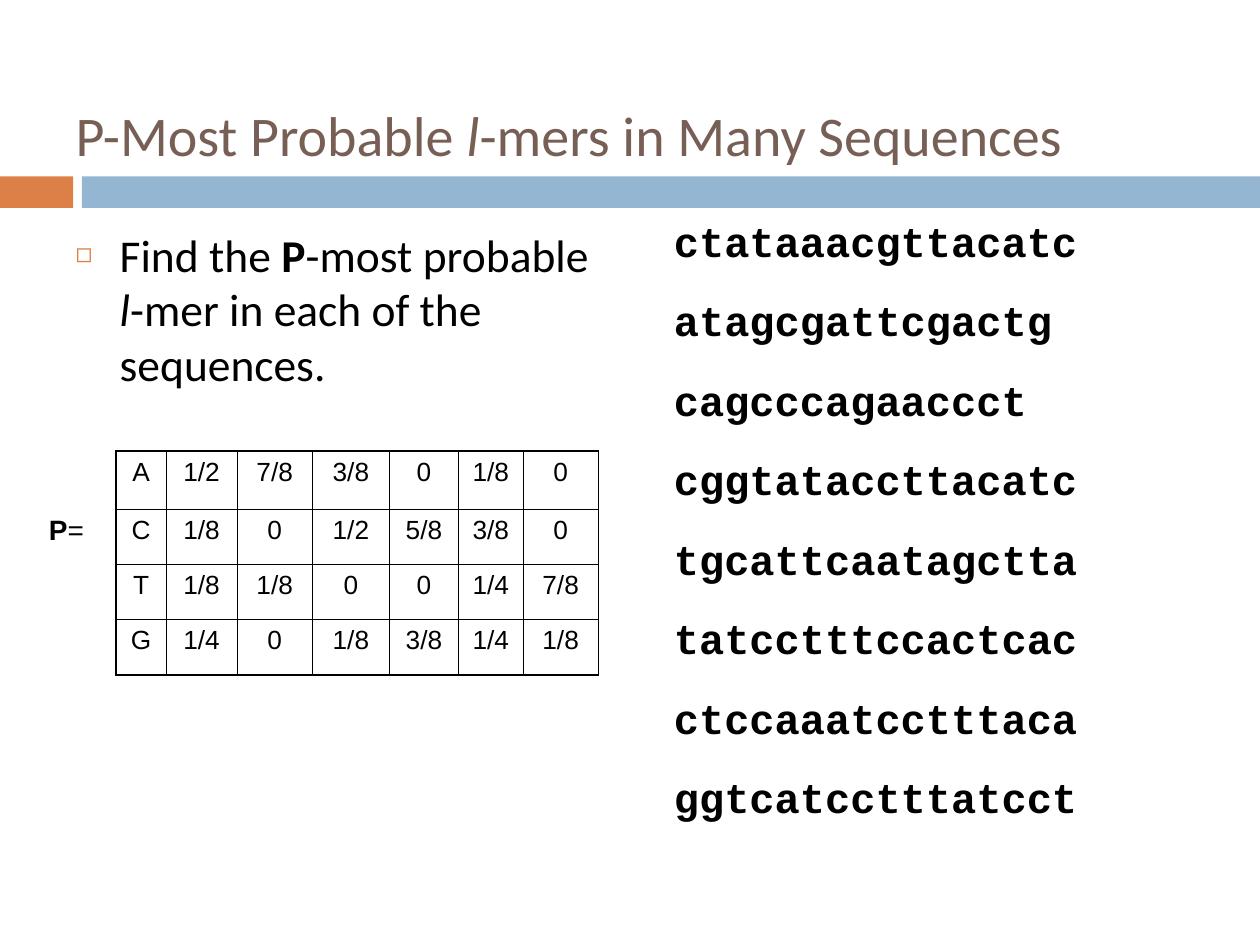
from dataclasses import dataclass

import lxml.etree
import pptx
import pptx.dml.color
import pptx.enum.shapes
import pptx.enum.text
import pptx.oxml.ns
import pptx.util

Inches = pptx.util.Inches
Pt = pptx.util.Pt


@dataclass(frozen=True)
class Theme:
    heading_font: str = "Calibri"
    table_font: str = "Arial"
    sequence_font: str = "Courier New"
    title_color: str = "775F55"
    ink: str = "000000"
    accent: str = "DD8047"
    band: str = "94B6D2"
    title_size: float = 32
    body_size: float = 26
    sequence_size: float = 24
    label_size: float = 16
    cell_size: float = 15
    sequence_gap: float = 16.6
    outer_line: float = 1.08
    inner_line: float = 0.45


THEME = Theme()

SEQUENCES = [
    "ctataaacgttacatc", "atagcgattcgactg", "cagcccagaaccct", "cggtataccttacatc",
    "tgcattcaatagctta", "tatcctttccactcac", "ctccaaatcctttaca", "ggtcatcctttatcct",
]
PROFILE = [
    ["A", "1/2", "7/8", "3/8", "0", "1/8", "0"],
    ["C", "1/8", "0", "1/2", "5/8", "3/8", "0"],
    ["T", "1/8", "1/8", "0", "0", "1/4", "7/8"],
    ["G", "1/4", "0", "1/8", "3/8", "1/4", "1/8"],
]
COLUMN_WIDTHS = [0.4, 0.56, 0.6, 0.61, 0.55, 0.51, 0.6]
ROW_HEIGHTS = [0.46, 0.44, 0.44, 0.44]


def rgb(value):
    return pptx.dml.color.RGBColor.from_string(value)


def add_span(para, text, font, size, color, bold=False, italic=False):
    span = para.add_run()
    span.text = text
    span.font.name = font
    span.font.size = Pt(size)
    span.font.color.rgb = rgb(color)
    span.font.bold = bold
    span.font.italic = italic


def place(shape, box):
    shape.left, shape.top, shape.width, shape.height = map(Inches, box)


def add_bar(page, box, color):
    bar = page.shapes.add_shape(
        pptx.enum.shapes.MSO_SHAPE.RECTANGLE, *map(Inches, box))
    bar.shadow.inherit = False
    bar.fill.solid()
    bar.fill.fore_color.rgb = rgb(color)
    bar.line.fill.background()


def add_divider(page, box):
    """Short accent bar, a gap, then the long band."""
    left, top, width, height = box
    accent_width, band_start = 0.58, 0.65
    add_bar(page, (left, top, accent_width, height), THEME.accent)
    add_bar(page, (left + band_start, top, width - band_start, height), THEME.band)


def fill_title(page, box):
    title = page.shapes.title
    place(title, box)
    frame = title.text_frame
    frame.auto_size = pptx.enum.text.MSO_AUTO_SIZE.NONE
    frame.vertical_anchor = pptx.enum.text.MSO_ANCHOR.MIDDLE
    para = frame.paragraphs[0]
    para.alignment = pptx.enum.text.PP_ALIGN.LEFT
    for text, italic in [("P-Most Probable ", False), ("l", True),
                         ("-mers in Many Sequences", False)]:
        add_span(para, text, THEME.heading_font, THEME.title_size,
                 THEME.title_color, italic=italic)


def add_bullet(para):
    properties = para._p.get_or_add_pPr()
    properties.set("marL", str(Inches(0.35)))
    properties.set("indent", str(Inches(-0.35)))
    qn = pptx.oxml.ns.qn
    color = lxml.etree.SubElement(properties, qn("a:buClr"))
    lxml.etree.SubElement(color, qn("a:srgbClr"), val=THEME.accent)
    lxml.etree.SubElement(properties, qn("a:buSzPct"), val="60000")
    lxml.etree.SubElement(properties, qn("a:buChar"), char="◻")


def fill_body(page, box):
    body = page.placeholders[1]
    place(body, box)
    frame = body.text_frame
    frame.auto_size = pptx.enum.text.MSO_AUTO_SIZE.NONE
    para = frame.paragraphs[0]
    add_bullet(para)
    para.space_before = Pt(0)
    for text, bold, italic in [("Find the ", False, False), ("P", True, False),
                               ("-most probable ", False, False), ("l", False, True),
                               ("-mer in each of the sequences.", False, False)]:
        add_span(para, text, THEME.heading_font, THEME.body_size, THEME.ink,
                 bold, italic)


def add_sequences(page, box):
    frame = page.shapes.add_textbox(*map(Inches, box)).text_frame
    frame.word_wrap = True
    for index, sequence in enumerate(SEQUENCES):
        para = frame.add_paragraph() if index else frame.paragraphs[0]
        para.space_before = Pt(THEME.sequence_gap if index else 0)
        add_span(para, sequence, THEME.sequence_font, THEME.sequence_size,
                 THEME.ink, bold=True)


def set_borders(cell, outer_sides):
    """Draw all four cell borders, heavier on the table's outer sides."""
    qn = pptx.oxml.ns.qn
    properties = cell._tc.get_or_add_tcPr()
    for position, side in enumerate("LRTB"):
        weight = THEME.outer_line if side in outer_sides else THEME.inner_line
        line = lxml.etree.Element(qn(f"a:ln{side}"), w=str(Pt(weight)))
        fill = lxml.etree.SubElement(line, qn("a:solidFill"))
        lxml.etree.SubElement(fill, qn("a:srgbClr"), val=THEME.ink)
        properties.insert(position, line)


def add_profile_table(page, box):
    last_row, last_column = len(PROFILE) - 1, len(PROFILE[0]) - 1
    table = page.shapes.add_table(
        last_row + 1, last_column + 1, *map(Inches, box)).table
    table.first_row = False
    table.horz_banding = False
    for column, width in zip(table.columns, COLUMN_WIDTHS):
        column.width = Inches(width)
    for row, height in zip(table.rows, ROW_HEIGHTS):
        row.height = Inches(height)
    for r, values in enumerate(PROFILE):
        for c, value in enumerate(values):
            cell = table.cell(r, c)
            cell.fill.background()
            edges = {"L": c == 0, "R": c == last_column,
                     "T": r == 0, "B": r == last_row}
            set_borders(cell, [side for side, outer in edges.items() if outer])
            para = cell.text_frame.paragraphs[0]
            para.alignment = pptx.enum.text.PP_ALIGN.CENTER
            add_span(para, value, THEME.table_font, THEME.cell_size, THEME.ink)


def add_profile_label(page, box):
    frame = page.shapes.add_textbox(*map(Inches, box)).text_frame
    frame.word_wrap = False
    for text, bold in [("P", True), ("=", False)]:
        add_span(frame.paragraphs[0], text, THEME.table_font, THEME.label_size,
                 THEME.ink, bold)


def main():
    deck = pptx.Presentation()
    deck.slide_width, deck.slide_height = Inches(10), Inches(7.5)
    page = deck.slides.add_slide(deck.slide_layouts[1])

    # Heading
    add_divider(page, (0, 1.4, 10, 0.25))
    fill_title(page, (0.5, 0.58, 9, 0.97))

    # Task and sequences
    fill_body(page, (0.5, 1.75, 4.42, 4.95))
    add_sequences(page, (5.25, 1.66, 4.5, 5.42))

    # Profile matrix
    add_profile_table(page, (0.92, 3.58, sum(COLUMN_WIDTHS), sum(ROW_HEIGHTS)))
    add_profile_label(page, (0.29, 4.02, 0.48, 0.37))

    deck.save("out.pptx")


if __name__ == "__main__":
    main()
